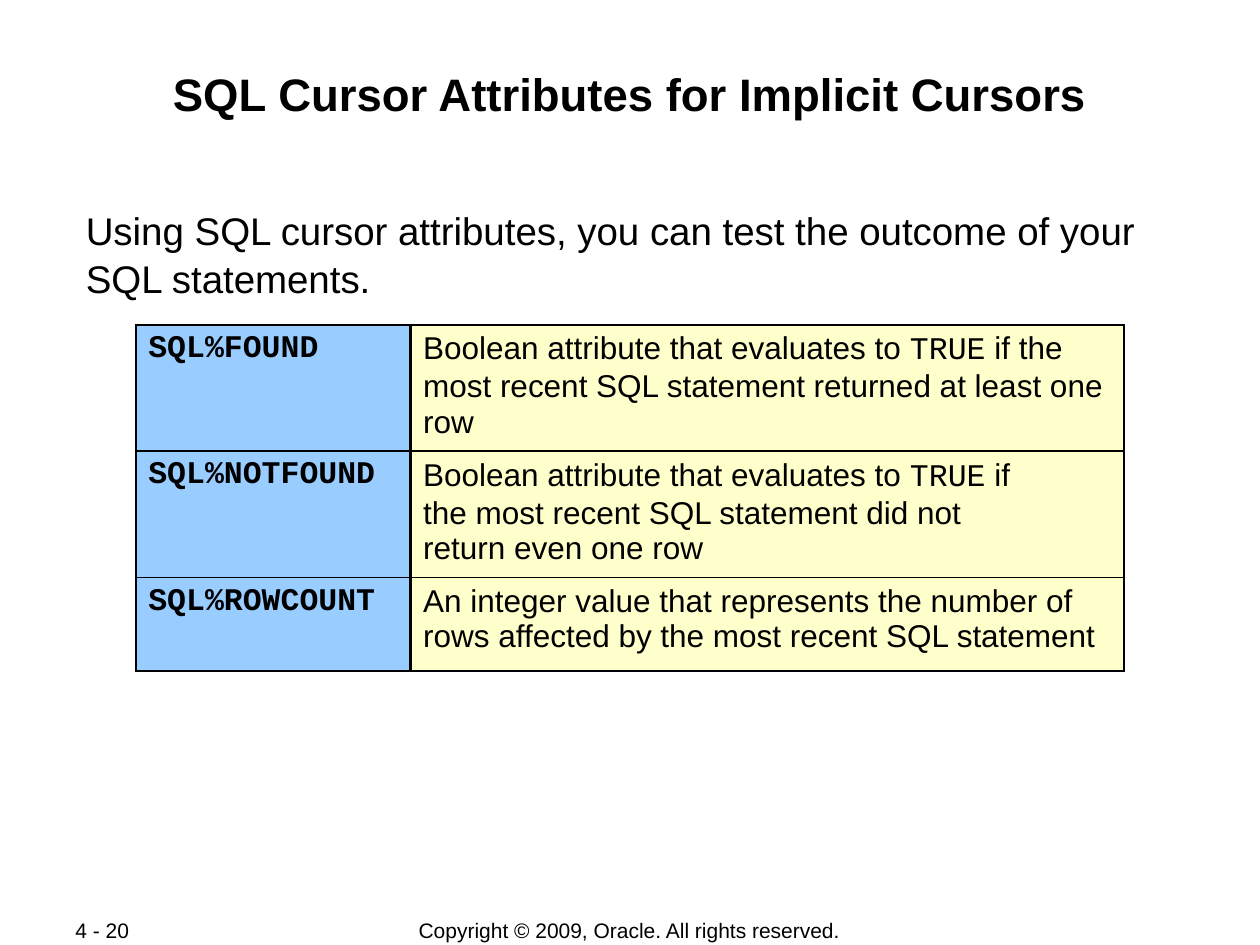
from pptx import Presentation
from pptx import util as u
from pptx.dml.color import RGBColor
from pptx.enum import text
from pptx.oxml import parse_xml
from pptx.oxml.ns import nsdecls

COLORS = {"ink": "000000", "name": "99CCFF", "meaning": "FFFFCC"}
SANS, MONO = "Arial", "Courier New"
THIN, THICK = 1.08, 2.21

ATTRIBUTES = [
    ("SQL%FOUND", [("Boolean attribute that evaluates to ", SANS), ("TRUE", MONO),
                   (" if the most recent SQL statement returned at least one row", SANS)]),
    ("SQL%NOTFOUND", [("Boolean attribute that evaluates to ", SANS), ("TRUE", MONO),
                      (" if\nthe most recent SQL statement did not\nreturn even one row", SANS)]),
    ("SQL%ROWCOUNT", [("An integer value that represents the number of rows affected "
                       "by the most recent SQL statement", SANS)]),
]


class SlideBuilder:
    def __init__(self, slide):
        self.s = slide

    def style(self, font, size, name=None, bold=False):
        font.size, font.bold = u.Pt(size), bold
        font.color.rgb = RGBColor.from_string(COLORS["ink"])
        if name:
            font.name = name

    def textbox(self, box, words, size, align=text.PP_ALIGN.LEFT, bold=False,
                anchor=text.MSO_ANCHOR.TOP, insets=(0.03, 0.12), spacing=1.0):
        """Insets are (sides, top and bottom) in cm."""
        tf = self.s.shapes.add_textbox(*map(u.Cm, box)).text_frame
        tf.word_wrap, tf.vertical_anchor = True, anchor
        tf.margin_left = tf.margin_right = u.Cm(insets[0])
        tf.margin_top = tf.margin_bottom = u.Cm(insets[1])
        p = tf.paragraphs[0]
        p.text, p.alignment, p.line_spacing = words, align, spacing
        self.style(p.font, size, SANS, bold)

    def footer(self, box, words, align):
        self.textbox(box, words, 12, align, anchor=text.MSO_ANCHOR.MIDDLE,
                     insets=(0.25, 0.13))

    def borders(self, cell, **widths):
        """Widths in points by side; sides must come in the order L, R, T, B."""
        tc_pr = cell._tc.get_or_add_tcPr()
        for i, (side, width) in enumerate(widths.items()):
            tc_pr.insert(i, parse_xml(
                f'<a:ln{side} {nsdecls("a")} w="{int(u.Pt(width))}"><a:solidFill>'
                f'<a:srgbClr val="{COLORS["ink"]}"/></a:solidFill></a:ln{side}>'))

    def cell(self, cell, runs, fill, bold=False):
        cell.fill.solid()
        cell.fill.fore_color.rgb = RGBColor.from_string(COLORS[fill])
        cell.margin_left = cell.margin_right = u.Cm(0.25)
        cell.margin_top = cell.margin_bottom = u.Cm(0.13)
        p = cell.text_frame.paragraphs[0]
        self.style(p.font, 18, bold=bold)
        for words, name in runs:
            for i, line in enumerate(words.split("\n")):
                if i:
                    p.add_line_break()
                r = p.add_run()
                r.text = line
                self.style(r.font, 18, name, bold)

    def table(self, left, top, widths, heights, rows):
        table = self.s.shapes.add_table(
            len(rows), len(widths), u.Cm(left), u.Cm(top),
            u.Cm(sum(widths)), u.Cm(sum(heights))).table
        table.first_row = table.horz_banding = False
        for column, width in zip(table.columns, widths):
            column.width = u.Cm(width)
        for row, height, (name, meaning) in zip(table.rows, heights, rows):
            row.height = u.Cm(height)
            name_cell, meaning_cell = row.cells
            self.cell(name_cell, [(name, MONO)], "name", bold=True)
            self.borders(name_cell, L=THIN, R=THICK, T=THIN, B=THIN)
            self.cell(meaning_cell, meaning, "meaning")
            self.borders(meaning_cell, L=THICK, R=THIN, T=THIN, B=THIN)


def main():
    prs = Presentation()
    prs.slide_width, prs.slide_height = u.Cm(25.4), u.Cm(19.05)
    b = SlideBuilder(prs.slides.add_slide(prs.slide_layouts[6]))
    center, left = text.PP_ALIGN.CENTER, text.PP_ALIGN.LEFT

    b.footer((6.99, 18.49, 11.4, 0.53), "Copyright © 2009, Oracle. All rights reserved.", center)
    b.footer((1.27, 18.49, 2.7, 0.51), "4 - 20", left)
    b.textbox((1.7, 1.22, 22, 2.44), "SQL Cursor Attributes for Implicit Cursors",
              26, center, bold=True)
    b.textbox((1.7, 4.01, 22, 1.93),
              "Using SQL cursor attributes, you can test the outcome of your SQL statements.",
              22, spacing=1.04)
    b.table(2.74, 6.55, (5.54, 14.38), (2.54, 2.54, 1.88), ATTRIBUTES)
    prs.save("out.pptx")


if __name__ == "__main__":
    main()
